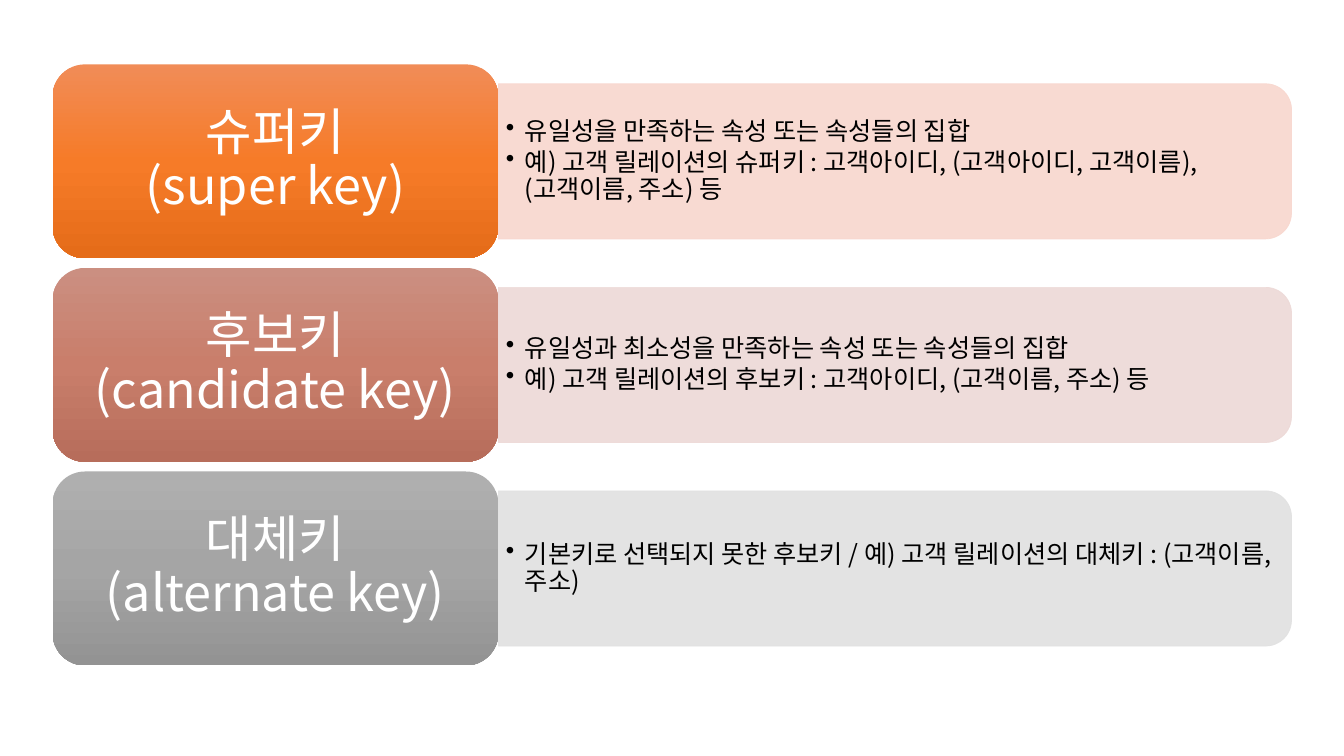
from copy import deepcopy
from lxml import etree
from pptx import Presentation
from pptx.dml.color import RGBColor
from pptx.enum.shapes import MSO_SHAPE
from pptx.enum.text import MSO_ANCHOR, PP_ALIGN
from pptx.oxml.ns import qn
from pptx.util import Pt

ROUNDED = MSO_SHAPE.ROUNDED_RECTANGLE
ROUNDED_TOP = MSO_SHAPE.ROUND_2_SAME_RECTANGLE
MIDDLE = MSO_ANCHOR.MIDDLE
LEFT, CENTER = PP_ALIGN.LEFT, PP_ALIGN.CENTER

FONT = "Noto Sans CJK KR"
WHITE = RGBColor(0xFF, 0xFF, 0xFF)
BLACK = RGBColor(0, 0, 0)
ORANGE = [RGBColor(0xF1, 0x8C, 0x57), RGBColor(0xF6, 0x7B, 0x28), RGBColor(0xE5, 0x6C, 0x19)]
ROSE = [RGBColor(0xCB, 0x8F, 0x81), RGBColor(0xC9, 0x7E, 0x6B), RGBColor(0xB7, 0x6D, 0x5B)]
GRAY = [RGBColor(0xAF, 0xAF, 0xAF), RGBColor(0xA5, 0xA5, 0xA5), RGBColor(0x93, 0x93, 0x93)]
PALE_ORANGE = RGBColor(0xF8, 0xD7, 0xCE)
PALE_ROSE = RGBColor(0xED, 0xD9, 0xD7)
PALE_GRAY = RGBColor(0xE1, 0xE1, 0xE1)

KEYS = [
    ("슈퍼키\v(super key)", ORANGE, PALE_ORANGE, [
        "유일성을 만족하는 속성 또는 속성들의 집합",
        "예) 고객 릴레이션의 슈퍼키 : 고객아이디, (고객아이디, 고객이름), (고객이름, 주소) 등",
    ]),
    ("후보키\v(candidate key)", ROSE, PALE_ROSE, [
        "유일성과 최소성을 만족하는 속성 또는 속성들의 집합",
        "예) 고객 릴레이션의 후보키 : 고객아이디, (고객이름, 주소) 등",
    ]),
    ("대체키\v(alternate key)", GRAY, PALE_GRAY, [
        "기본키로 선택되지 못한 후보키 / 예) 고객 릴레이션의 대체키 : (고객이름, 주소)",
    ]),
]

SLIDE_WIDTH, SLIDE_HEIGHT = 960, 540
LABEL_LEFT, FIRST_TOP = 37.6, 46
LABEL_WIDTH, LABEL_HEIGHT = 318.4, 138.5
ROW_PITCH = 145.4
PANEL_WIDTH, PANEL_HEIGHT = 566.5, 110.8
PANEL_LEFT = LABEL_LEFT + LABEL_WIDTH
CORNER_TRIM = 5.4
INDENT = 13.5

LABEL_FORMAT = {"size": Pt(36), "color": WHITE, "align": CENTER, "after": Pt(0), "inset": (18, 12)}
BULLET_FORMAT = {"size": Pt(18), "color": BLACK, "align": LEFT, "after": Pt(2.7), "inset": (5.4, 2.7)}


def set_alpha(color_parent):
    for color in color_parent.iter(qn("a:srgbClr")):
        etree.SubElement(color, qn("a:alpha")).set("val", "90000")


def write_text(shape, lines, style, bulleted=False):
    frame = shape.text_frame
    across, down = (Pt(inset) for inset in style["inset"])
    settings = {"word_wrap": True, "vertical_anchor": MIDDLE, "margin_left": across,
                "margin_right": across, "margin_top": down, "margin_bottom": down}
    for name, value in settings.items():
        setattr(frame, name, value)
    frame.text = "\n".join(lines)
    for para in frame.paragraphs:
        for name, value in {"alignment": style["align"], "line_spacing": 0.9,
                            "space_after": style["after"]}.items():
            setattr(para, name, value)
        if bulleted:
            properties = para._p.get_or_add_pPr()
            properties.set("marL", str(Pt(INDENT)))
            properties.set("indent", str(-Pt(INDENT)))
            etree.SubElement(properties, qn("a:buChar")).set("char", "•")
        for span in para.runs:
            span.font.size = style["size"]
            span.font.name = FONT
            span.font.color.rgb = style["color"]
            etree.SubElement(span._r.get_or_add_rPr(), qn("a:ea")).set("typeface", FONT)


def add_panel(page, top, color):
    left = PANEL_LEFT + (PANEL_WIDTH - PANEL_HEIGHT) / 2
    upright_top = top - (PANEL_WIDTH - PANEL_HEIGHT) / 2
    panel = page.shapes.add_shape(ROUNDED_TOP, Pt(left), Pt(upright_top), Pt(PANEL_HEIGHT), Pt(PANEL_WIDTH))
    panel.rotation = 90
    panel.shadow.inherit = False
    panel.fill.solid()
    panel.fill.fore_color.rgb = color
    panel.line.color.rgb = color
    panel.line.width = Pt(0.5)
    set_alpha(panel._element.spPr)


def add_label(page, top, title, colors):
    label = page.shapes.add_shape(ROUNDED, Pt(LABEL_LEFT), Pt(top), Pt(LABEL_WIDTH), Pt(LABEL_HEIGHT))
    label.shadow.inherit = False
    label.line.fill.background()
    label.fill.gradient()
    label.fill.gradient_angle = 270
    first_stop = next(label._element.spPr.iter(qn("a:gs")))
    first_stop.addnext(deepcopy(first_stop))
    for stop, position, color in zip(label.fill.gradient_stops, (0, 0.5, 1), colors):
        stop.position = position
        stop.color.rgb = color
    write_text(label, [title], LABEL_FORMAT)


def main():
    deck = Presentation()
    deck.slide_width, deck.slide_height = Pt(SLIDE_WIDTH), Pt(SLIDE_HEIGHT)
    page = deck.slides.add_slide(deck.slide_layouts[6])
    for row, (title, colors, pale, bullets) in enumerate(KEYS):
        top = FIRST_TOP + row * ROW_PITCH
        panel_top = top + (LABEL_HEIGHT - PANEL_HEIGHT) / 2
        add_panel(page, panel_top, pale)
        box = page.shapes.add_textbox(Pt(PANEL_LEFT), Pt(panel_top + CORNER_TRIM),
                                      Pt(PANEL_WIDTH - CORNER_TRIM), Pt(PANEL_HEIGHT - 2 * CORNER_TRIM))
        write_text(box, bullets, BULLET_FORMAT, bulleted=True)
        add_label(page, top, title, colors)
    deck.save("out.pptx")


if __name__ == "__main__":
    main()
